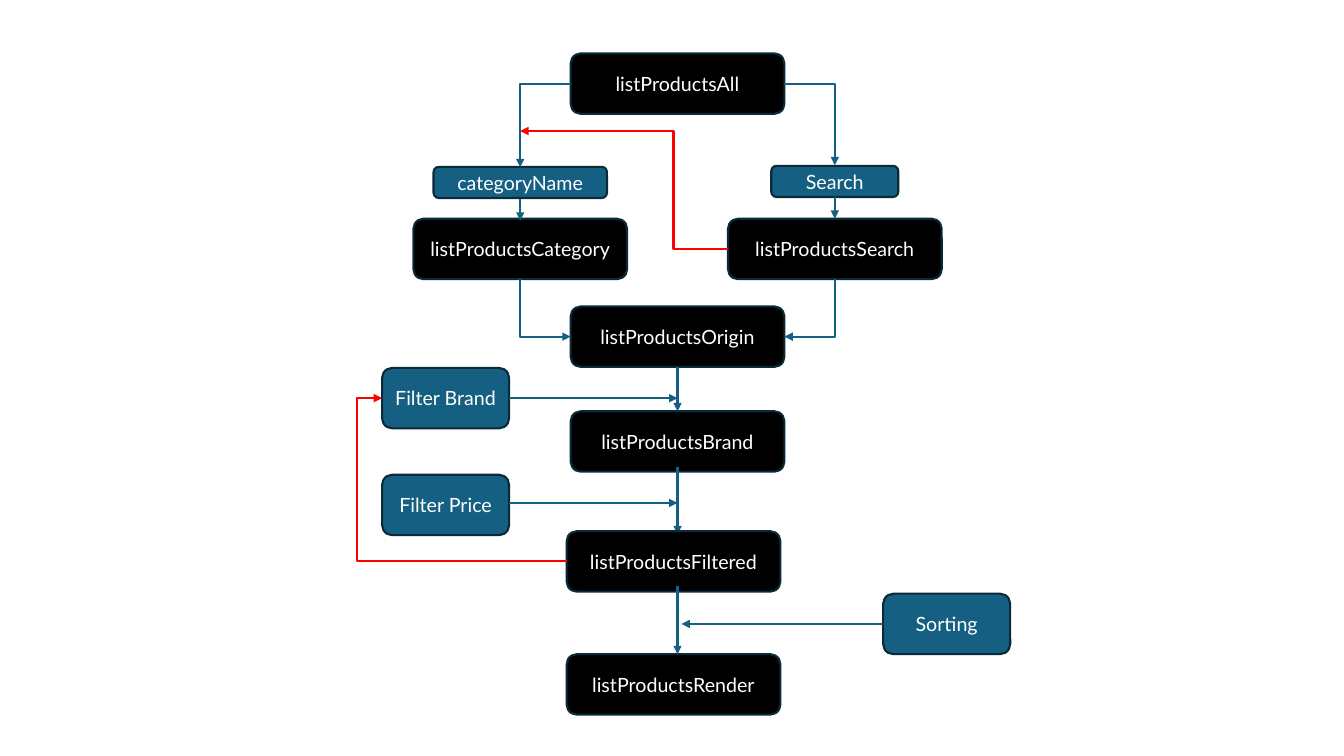
from lxml import etree
from pptx import Presentation, util as u
from pptx.dml.color import RGBColor
from pptx.enum import shapes, text
from pptx.oxml.ns import qn

BLACK = RGBColor(0x00, 0x00, 0x00)
WHITE = RGBColor(0xFF, 0xFF, 0xFF)
TEAL = RGBColor(0x15, 0x60, 0x82)
NAVY = RGBColor(0x09, 0x2A, 0x39)
RED = RGBColor(0xFF, 0x00, 0x00)

SLIDE_W, SLIDE_H = 13.33, 7.5
LABEL_FORMAT = {"name": "Lato", "size": u.Pt(14)}
LINE_WIDTH = u.Pt(1.5)

# Column centres and row middles of the flow, in inches
LOOP, FILTER, CATEGORY, RESULT, MAIN, SEARCH, SORT = 3.54, 4.42, 5.16, 6.68, 6.72, 8.28, 9.39
ALL, RETURN, KEYWORD, LISTS, ORIGIN = 0.83, 1.3, 1.8, 2.47, 3.34
BRAND_FILTER, BRAND, PRICE_FILTER, FILTERED, SORTING, RENDER = 3.95, 4.38, 5.01, 5.57, 6.19, 6.79

LIST_W, INPUT_W, CATEGORY_W = 2.12, 1.26, 1.72
BOX_H, KEYWORD_H = 0.6, 0.31

PRODUCT_LISTS = [
    ("listProductsAll", MAIN, ALL),
    ("listProductsCategory", CATEGORY, LISTS),
    ("listProductsSearch", SEARCH, LISTS),
    ("listProductsOrigin", MAIN, ORIGIN),
    ("listProductsBrand", MAIN, BRAND),
    ("listProductsRender", RESULT, RENDER),
]
INPUTS = [
    ("Filter Brand", FILTER, BRAND_FILTER, INPUT_W, BOX_H),
    ("Filter Price", FILTER, PRICE_FILTER, INPUT_W, BOX_H),
    ("Sorting", SORT, SORTING, INPUT_W, BOX_H),
    ("categoryName", CATEGORY, KEYWORD + 0.01, CATEGORY_W, KEYWORD_H),
    ("Search", SEARCH, KEYWORD, INPUT_W, KEYWORD_H),
]

MAIN_LEFT, MAIN_RIGHT = MAIN - LIST_W / 2, MAIN + LIST_W / 2
FILTER_LEFT, FILTER_RIGHT = FILTER - INPUT_W / 2, FILTER + INPUT_W / 2
LISTS_TOP, LISTS_BOTTOM = LISTS - BOX_H / 2, LISTS + BOX_H / 2

STRAIGHT_ARROWS = [
    ((CATEGORY, KEYWORD + 0.17), (CATEGORY, LISTS_TOP + 0.02)),
    ((SEARCH, KEYWORD + 0.15), (SEARCH, LISTS_TOP)),
    ((MAIN, ORIGIN + BOX_H / 2), (MAIN, BRAND - BOX_H / 2)),
    ((FILTER_RIGHT, BRAND_FILTER), (MAIN, BRAND_FILTER)),
    ((FILTER_RIGHT, PRICE_FILTER - 0.02), (MAIN, PRICE_FILTER - 0.02)),
    ((SORT - INPUT_W / 2, SORTING), (MAIN + 0.04, SORTING)),
]
SPLIT_ARROWS = [
    ((MAIN_LEFT, ALL), (CATEGORY, KEYWORD - 0.14)),
    ((MAIN_RIGHT, ALL), (SEARCH, KEYWORD - 0.16)),
]
MERGE_ARROWS = [
    ((CATEGORY, LISTS_BOTTOM), (MAIN_LEFT, ORIGIN)),
    ((SEARCH, LISTS_BOTTOM), (MAIN_RIGHT, ORIGIN)),
]


def add_box(slide, label, center, middle, width, height, fill):
    box = slide.shapes.add_shape(
        shapes.MSO_SHAPE.ROUNDED_RECTANGLE,
        u.Inches(center - width / 2), u.Inches(middle - height / 2),
        u.Inches(width), u.Inches(height))
    box.shadow.inherit = False
    box.fill.solid()
    box.fill.fore_color.rgb = fill
    box.line.color.rgb = NAVY
    box.line.width = LINE_WIDTH
    frame = box.text_frame
    frame.word_wrap = True
    frame.vertical_anchor = text.MSO_ANCHOR.MIDDLE
    paragraph = frame.paragraphs[0]
    paragraph.alignment = text.PP_ALIGN.CENTER
    run = paragraph.add_run()
    run.text = label
    for name, value in LABEL_FORMAT.items():
        setattr(run.font, name, value)
    run.font.color.rgb = WHITE


def add_list(slide, label, center, middle):
    add_box(slide, label, center, middle, LIST_W, BOX_H, BLACK)


def add_arrow(slide, start, end, color=TEAL, kind=shapes.MSO_CONNECTOR.STRAIGHT):
    arrow = slide.shapes.add_connector(kind, *(u.Inches(v) for v in (*start, *end)))
    arrow.line.color.rgb = color
    arrow.line.width = LINE_WIDTH
    etree.SubElement(arrow.line._get_or_add_ln(), qn("a:tailEnd"), type="triangle")
    etree.SubElement(arrow._element.spPr, qn("a:effectLst"))
    return arrow


def add_corner_arrow(slide, start, end, down_first=False):
    """One bend; a path that goes down first is a quarter-turned across-first path."""
    if down_first:
        (x0, y0), (x1, y1) = start, end
        mid_x, mid_y = (x0 + x1) / 2, (y0 + y1) / 2
        half_w, half_h = (y1 - y0) / 2, (x0 - x1) / 2
        start = mid_x - half_w, mid_y - half_h
        end = mid_x + half_w, mid_y + half_h
    arrow = add_arrow(slide, start, end, kind=shapes.MSO_CONNECTOR.ELBOW)
    properties = arrow._element.spPr
    properties.find(qn("a:prstGeom")).set("prst", "bentConnector2")
    if down_first:
        properties.find(qn("a:xfrm")).set("rot", str(90 * 60000))


def add_return_arrow(slide, start, end, turn_x):
    """Two bends, with the upright part at turn_x."""
    arrow = add_arrow(slide, start, end, RED, shapes.MSO_CONNECTOR.ELBOW)
    share = (turn_x - start[0]) / (end[0] - start[0])
    guides = arrow._element.spPr.find(qn("a:prstGeom")).find(qn("a:avLst"))
    etree.SubElement(guides, qn("a:gd"), name="adj1", fmla=f"val {round(share * 100000)}")


def main():
    deck = Presentation()
    deck.slide_width, deck.slide_height = u.Inches(SLIDE_W), u.Inches(SLIDE_H)
    slide = deck.slides.add_slide(deck.slide_layouts[6])

    for product_list in PRODUCT_LISTS:
        add_list(slide, *product_list)
    for user_input in INPUTS:
        add_box(slide, *user_input, TEAL)

    # The filtered list covers the tip of the arrow that enters it
    add_arrow(slide, (MAIN, BRAND + 0.25), (MAIN, FILTERED - 0.27))
    add_list(slide, "listProductsFiltered", RESULT, FILTERED)
    add_arrow(slide, (MAIN, FILTERED + 0.24), (MAIN, RENDER - BOX_H / 2))

    for start, end in STRAIGHT_ARROWS:
        add_arrow(slide, start, end)
    for start, end in SPLIT_ARROWS:
        add_corner_arrow(slide, start, end)
    for start, end in MERGE_ARROWS:
        add_corner_arrow(slide, start, end, down_first=True)
    add_return_arrow(slide, (SEARCH - LIST_W / 2, LISTS), (CATEGORY, RETURN), RESULT)
    add_return_arrow(slide, (RESULT - LIST_W / 2, FILTERED), (FILTER_LEFT, BRAND_FILTER), LOOP)

    deck.save("out.pptx")


if __name__ == "__main__":
    main()
